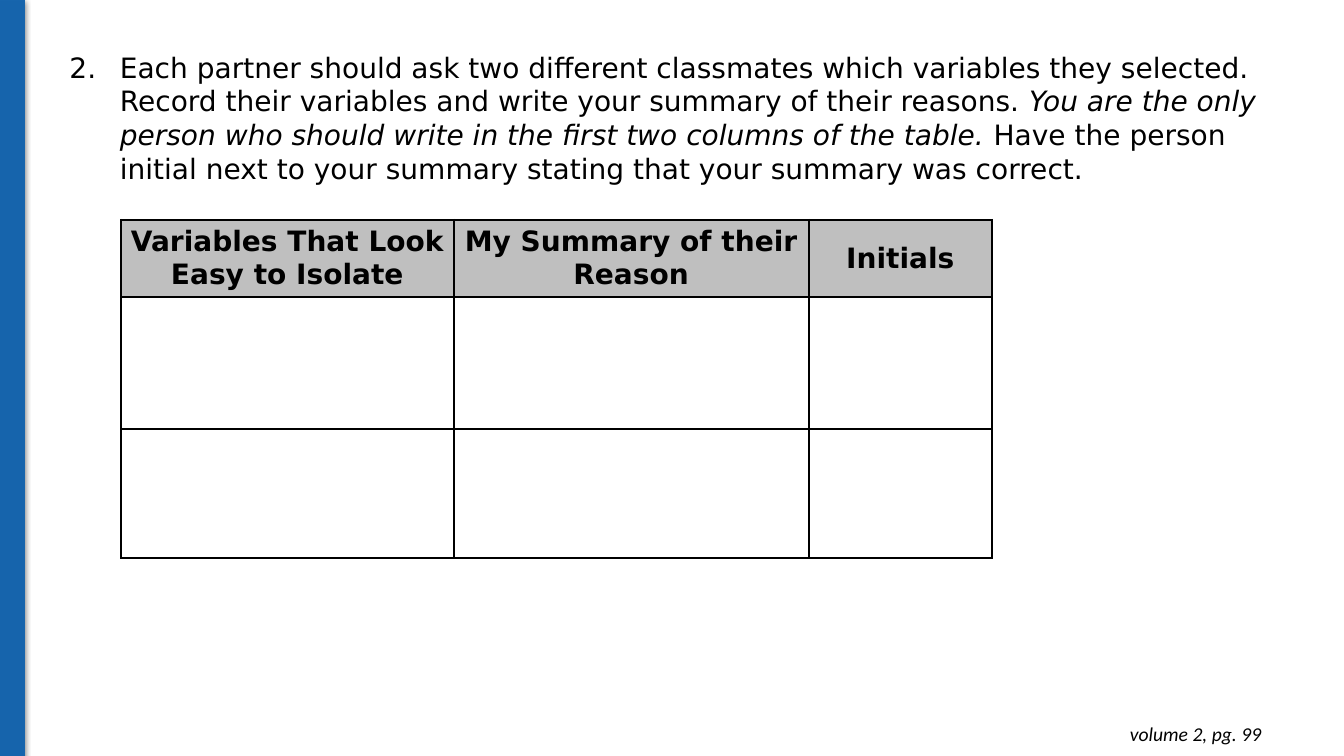
from dataclasses import dataclass

import pptx
import pptx.dml.color
import pptx.enum.shapes
import pptx.enum.text
import pptx.oxml
import pptx.oxml.ns
import pptx.util
from pptx.util import Inches

RGBColor = pptx.dml.color.RGBColor
Align = pptx.enum.text.PP_ALIGN
BLACK = RGBColor(0x00, 0x00, 0x00)
BAND_FILL = RGBColor(0x16, 0x64, 0xAC)
BAND_LINE = RGBColor(0x17, 0x65, 0xAD)
HEADER_GRAY = RGBColor(0xBF, 0xBF, 0xBF)
BODY_FONT = "DejaVu Sans"
ROW_HEIGHTS = (0.74, 1.31, 1.28)


@dataclass
class Column:
    heading: str
    width: float


COLUMNS = [
    Column("Variables That Look Easy to Isolate", 3.3),
    Column("My Summary of their Reason", 3.52),
    Column("Initials", 1.82),
]


def add_xml(parent, xml: str) -> None:
    """Append an element of the DrawingML namespace."""
    tag, rest = xml[1:].split(" ", 1)
    ns = pptx.oxml.ns.nsdecls("a")
    parent.append(pptx.oxml.parse_xml(f"<{tag} {ns} {rest}"))


def add_text(p, text: str, *, size: float = 20, font: str = BODY_FONT,
             bold: bool = False, italic: bool = False, align=None) -> None:
    if align is not None:
        p.alignment = align
    r = p.add_run()
    r.text = text
    r.font.size = pptx.util.Pt(size)
    r.font.name = font
    r.font.bold = bold
    r.font.italic = italic
    r.font.color.rgb = BLACK


def add_box(slide, left: float, top: float, width: float, height: float):
    tf = slide.shapes.add_textbox(
        Inches(left), Inches(top), Inches(width), Inches(height)).text_frame
    tf.word_wrap = True
    return tf


def add_side_band(slide) -> None:
    sp = slide.shapes.add_shape(
        pptx.enum.shapes.MSO_SHAPE.RECTANGLE, 0, 0, Inches(0.24), Inches(7.51))
    sp.fill.solid()
    sp.fill.fore_color.rgb = BAND_FILL
    sp.line.color.rgb = BAND_LINE
    sp.line.width = pptx.util.Pt(0.75)
    sp.shadow.inherit = False
    effects = sp._element.spPr.find(pptx.oxml.ns.qn("a:effectLst"))
    add_xml(effects, '<a:outerShdw blurRad="57150" dist="19050" dir="5400000" '
                     'algn="ctr" rotWithShape="0"><a:srgbClr val="000000">'
                     '<a:alpha val="50000"/></a:srgbClr></a:outerShdw>')


def add_summary_table(slide) -> None:
    table = slide.shapes.add_table(
        len(ROW_HEIGHTS), len(COLUMNS), Inches(1.2), Inches(2.18),
        Inches(sum(c.width for c in COLUMNS)), Inches(sum(ROW_HEIGHTS))).table
    table.first_row = table.horz_banding = False
    for row, height in zip(table.rows, ROW_HEIGHTS):
        row.height = Inches(height)
    for i, column in enumerate(COLUMNS):
        table.columns[i].width = Inches(column.width)
        for j in range(len(ROW_HEIGHTS)):
            cell = table.cell(j, i)
            cell.margin_left = cell.margin_right = Inches(0.07)
            cell.margin_top = cell.margin_bottom = Inches(0.05)
            for side in "LRTB":
                add_xml(cell._tc.tcPr,
                        f'<a:ln{side} w="19050"><a:solidFill><a:srgbClr '
                        f'val="{BLACK}"/></a:solidFill></a:ln{side}>')
            if j:
                cell.fill.background()
                continue
            cell.fill.solid()
            cell.fill.fore_color.rgb = HEADER_GRAY
            cell.vertical_anchor = pptx.enum.text.MSO_ANCHOR.MIDDLE
            add_text(cell.text_frame.paragraphs[0], column.heading,
                     bold=True, align=Align.CENTER)


def add_instructions(slide) -> None:
    p = add_box(slide, 0.59, 0.45, 12.05, 1.45).paragraphs[0]
    pPr = p._p.get_or_add_pPr()
    pPr.set("marL", str(Inches(0.5)))
    pPr.set("indent", str(Inches(-0.5)))
    add_xml(pPr, f'<a:buClr ><a:srgbClr val="{BLACK}"/></a:buClr>')
    add_xml(pPr, '<a:buFont typeface="+mj-lt"/>')
    add_xml(pPr, '<a:buAutoNum type="arabicPeriod" startAt="2"/>')
    add_text(p, "Each partner should ask two different classmates which "
                "variables they selected. Record their variables and write "
                "your summary of their reasons. ")
    add_text(p, "You are the only person who should write in the first two "
                "columns of the table.", italic=True)
    add_text(p, " Have the person initial next to your summary stating that "
                "your summary was correct.")


def add_page_reference(slide) -> None:
    tf = add_box(slide, 9.73, 7.06, 2.88, 0.44)
    tf.margin_top = tf.margin_bottom = Inches(0.1)
    add_text(tf.paragraphs[0], "volume 2, pg. 99", size=14, font="Calibri",
             italic=True, align=Align.RIGHT)


def main() -> None:
    prs = pptx.Presentation()
    prs.slide_width, prs.slide_height = Inches(13.33), Inches(7.5)
    slide = prs.slides.add_slide(prs.slide_layouts[6])
    add_side_band(slide)
    add_page_reference(slide)
    add_summary_table(slide)
    add_instructions(slide)
    prs.save("out.pptx")


if __name__ == "__main__":
    main()
